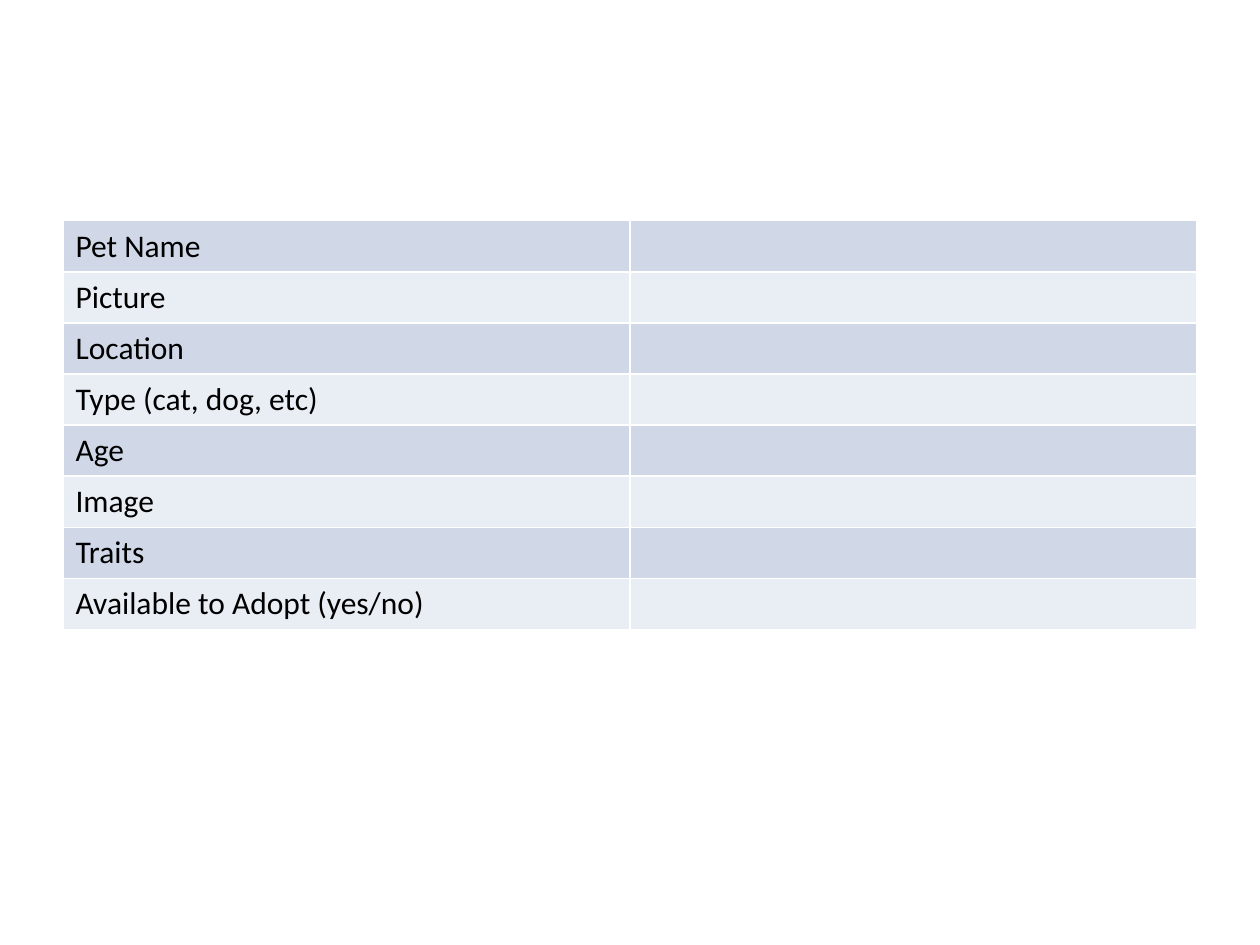
from lxml.etree import SubElement
from pptx import Presentation
from pptx.dml.color import RGBColor
from pptx.oxml.ns import qn
from pptx.util import Cm, Pt


def rgb(value):
    return RGBColor.from_string(value)


labels = [
    "Pet Name",
    "Picture",
    "Location",
    "Type (cat, dog, etc)",
    "Age",
    "Image",
    "Traits",
    "Available to Adopt (yes/no)",
]
bands = ["D0D8E8", "E9EDF4"]
font_format = {"name": "Calibri", "size": Pt(18), "bold": False}
row_height = Cm(1.03)

prs = Presentation()
prs.slide_width, prs.slide_height = Cm(25.4), Cm(19.05)
s = prs.slides.add_slide(prs.slide_layouts[6])

table = s.shapes.add_table(
    len(labels), 2, Cm(1.27), Cm(4.45), Cm(22.86), row_height * len(labels)
).table
table.first_row = False

for i, label in enumerate(labels):
    table.rows[i].height = row_height
    table.cell(i, 0).text = label
    for cell in table.rows[i].cells:
        tc_pr = cell._tc.get_or_add_tcPr()
        for side in ("a:lnL", "a:lnR", "a:lnT", "a:lnB"):
            ln = SubElement(tc_pr, qn(side), w=str(Pt(1)))
            SubElement(SubElement(ln, qn("a:solidFill")), qn("a:srgbClr"), val="FFFFFF")
        cell.fill.solid()
        cell.fill.fore_color.rgb = rgb(bands[i % 2])
        p = cell.text_frame.paragraphs[0]
        for font in [p.font] + [r.font for r in p.runs]:
            for name, value in font_format.items():
                setattr(font, name, value)
            font.color.rgb = rgb("000000")

prs.save("out.pptx")
